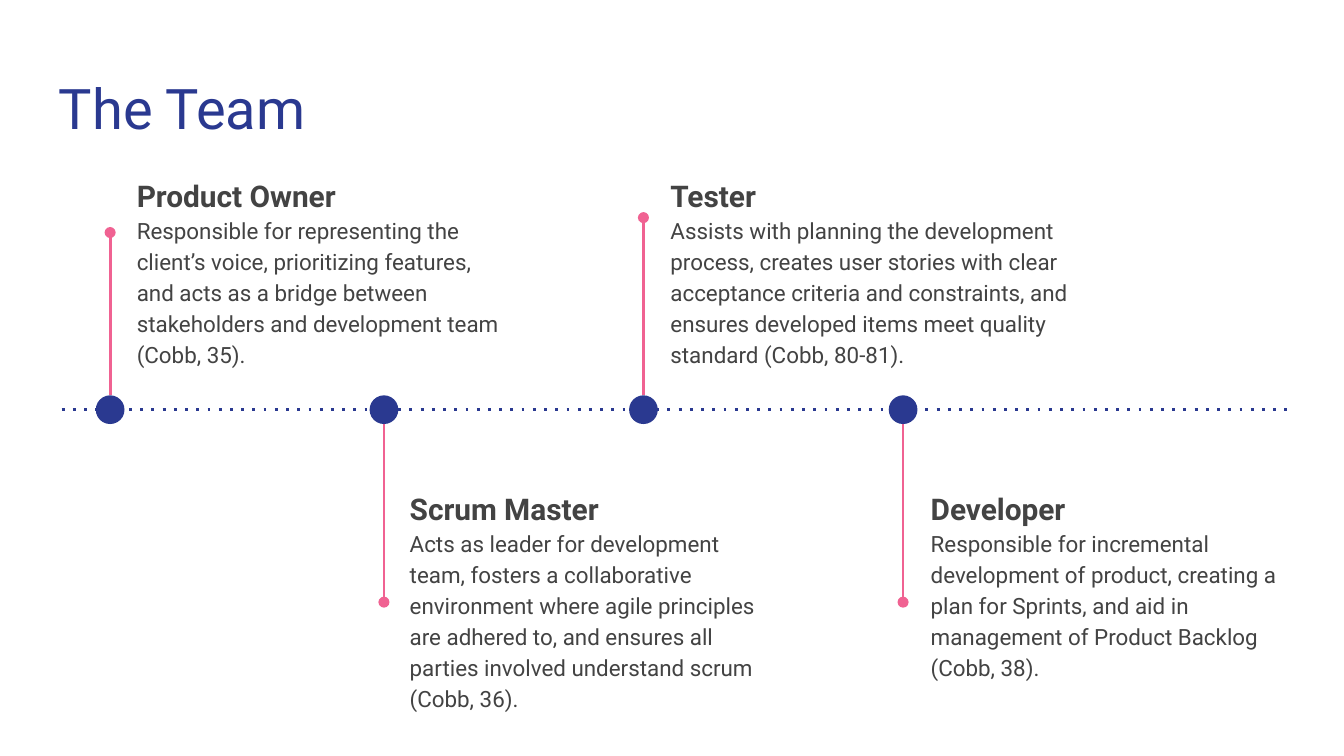
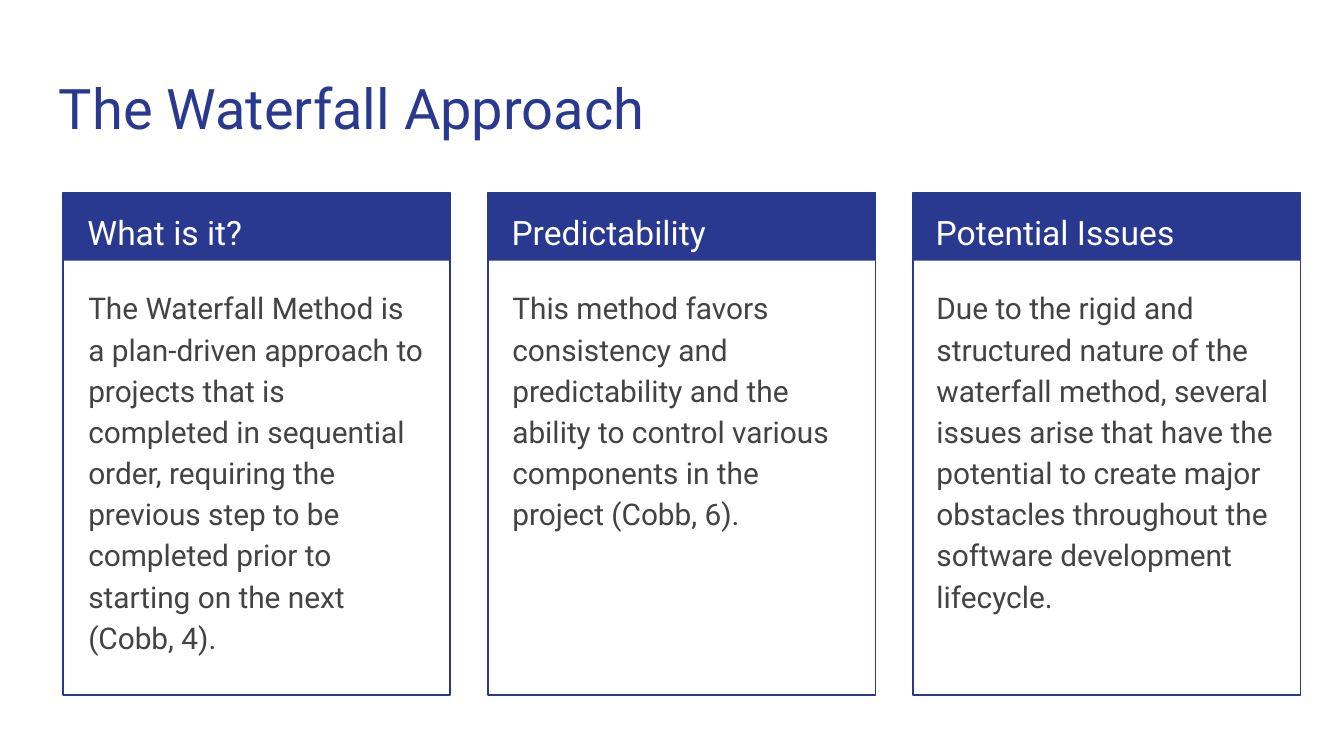
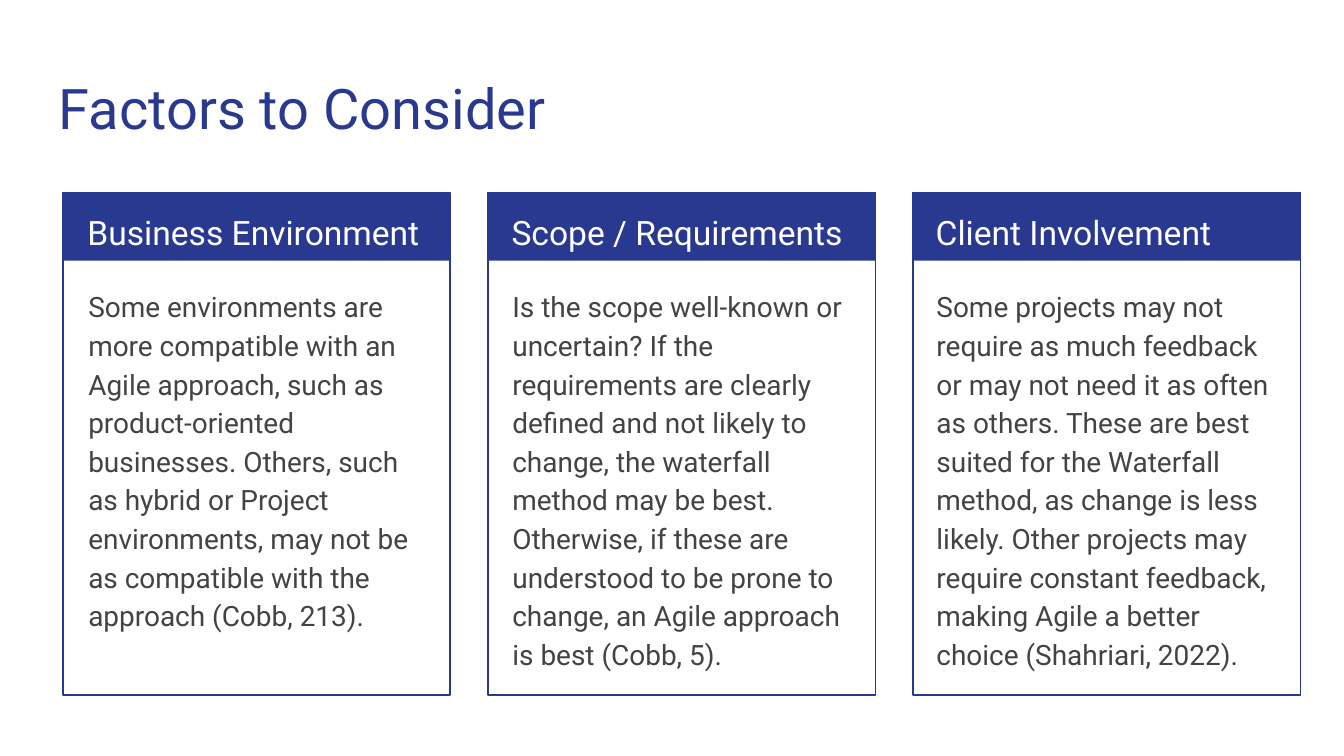
from lxml import etree
from pptx import Presentation
from pptx.dml.color import RGBColor
from pptx.enum.shapes import MSO_CONNECTOR, MSO_SHAPE
from pptx.enum.text import MSO_ANCHOR
from pptx.oxml.ns import qn
from pptx.util import Pt

NAVY = RGBColor(0x2A, 0x39, 0x90)
PINK = RGBColor(0xF0, 0x62, 0x92)
GRAY = RGBColor(0x43, 0x43, 0x43)
WHITE = RGBColor(0xFF, 0xFF, 0xFF)
FONT = "Roboto"
OVAL, RECT = MSO_SHAPE.OVAL, MSO_SHAPE.RECTANGLE
STRAIGHT = MSO_CONNECTOR.STRAIGHT
TOP = MSO_ANCHOR.TOP

AXIS = 219.5
DOT = 15.4
ROLE_TOP = {"up": 85, "down": 252.7}

ROLES = [
    dict(name="Product Owner", side="up", x=59, tip=124.6, box=(66.2, 209.5, 111),
         text="Responsible for representing the client’s voice, prioritizing features, and acts as a bridge between stakeholders and development team (Cobb, 35)."),
    dict(name="Scrum Master", side="down", x=205.7, tip=322.6, box=(212.4, 209.5, 127.4),
         text="Acts as leader for development team, fosters a collaborative environment where agile principles are adhered to, and ensures all parties involved understand scrum (Cobb, 36)."),
    dict(name="Tester", side="up", x=344.7, tip=116.6, box=(352.1, 241.9, 117.4),
         text="Assists with planning the development process, creates user stories with clear acceptance criteria and constraints, and ensures developed items meet quality standard (Cobb, 80-81)."),
    dict(name="Developer", side="down", x=483.8, tip=322.6, box=(491.5, 209.5, 76.3),
         text="Responsible for incremental development of product, creating a plan for Sprints, and aid in management of Product Backlog (Cobb, 38)."),
]

DECKS = [
    ("The Waterfall Approach", 16, [
        ("What is it?", "The Waterfall Method is a plan-driven approach to projects that is completed in sequential order, requiring the previous step to be completed prior to starting on the next (Cobb, 4)."),
        ("Predictability", "This method favors consistency and predictability and the ability to control various components in the project (Cobb, 6)."),
        ("Potential Issues", "Due to the rigid and structured nature of the waterfall method, several issues arise that have the potential to create major obstacles throughout the software development lifecycle."),
    ]),
    ("Factors to Consider", 15, [
        ("Business Environment", "Some environments are more compatible with an Agile approach, such as product-oriented businesses. Others, such as hybrid or Project environments, may not be as compatible with the approach (Cobb, 213)."),
        ("Scope / Requirements", "Is the scope well-known or uncertain? If the requirements are clearly defined and not likely to change, the waterfall method may be best. Otherwise, if these are understood to be prone to change, an Agile approach is best (Cobb, 5)."),
        ("Client Involvement", "Some projects may not require as much feedback or may not need it as often as others. These are best suited for the Waterfall method, as change is less likely. Other projects may require constant feedback, making Agile a better choice (Shahriari, 2022)."),
    ]),
]


def add_text(frame, text, size=16, color=GRAY, bold=False, gap=1.15, after=0, first=True):
    para = frame.paragraphs[0] if first else frame.add_paragraph()
    para.space_after = Pt(after)
    para.line_spacing = gap
    run = para.add_run()
    run.text = text
    font = run.font
    font.name, font.size, font.bold = FONT, Pt(size), bold
    font.color.rgb = color


def add_box(slide, *area):
    frame = slide.shapes.add_textbox(*map(Pt, area)).text_frame
    frame.word_wrap = True
    frame.vertical_anchor = TOP
    frame.margin_left = frame.margin_right = Pt(7.2)
    frame.margin_top = frame.margin_bottom = Pt(7.2)
    return frame


def add_form(shapes, kind, area, fill=None, edge=None):
    form = shapes.add_shape(kind, *map(Pt, area))
    form.shadow.inherit = False
    if fill is None:
        form.fill.background()
    else:
        form.fill.solid()
        form.fill.fore_color.rgb = fill
    if edge is None:
        form.line.fill.background()
    else:
        form.line.color.rgb = edge
        form.line.width = Pt(0.75)


def add_line(shapes, ends, color, tag, **attrs):
    line = shapes.add_connector(STRAIGHT, *map(Pt, ends))
    line.line.color.rgb = color
    line.line.width = Pt(1.5)
    props = line._element.spPr
    etree.SubElement(props.find(qn("a:ln")), qn(tag), **attrs)
    etree.SubElement(props, qn("a:effectLst"))


def add_slide(deck, title):
    slide = deck.slides.add_slide(deck.slide_layouts[6])
    add_text(add_box(slide, 24.5, 32.4, 671, 47.5), title, size=30, color=NAVY, gap=1.0)
    return slide


def add_role(slide, role):
    x, side = role["x"], role["side"]
    group = slide.shapes.add_group_shape().shapes
    start = AXIS + (DOT / 2 if side == "down" else -DOT / 2)
    add_line(group, (x, start, x, role["tip"]), PINK, "a:tailEnd", type="oval")
    add_form(group, OVAL, (x - DOT / 2, AXIS - DOT / 2, DOT, DOT), fill=NAVY)
    left, width, height = role["box"]
    frame = add_box(slide, left, ROLE_TOP[side], width, height)
    add_text(frame, role["name"], bold=True)
    add_text(frame, role["text"], size=12, after=16, first=False)


def add_card(slide, index, head, body, size):
    left = 33.8 + 227.7 * index
    inset = 39.8 + 227.2 * index
    group = slide.shapes.add_group_shape().shapes
    add_form(group, RECT, (left, 103, 207.4, 36.7), fill=NAVY)
    add_form(group, RECT, (left, 103, 207.4, 269.3), edge=NAVY)
    add_text(add_box(slide, inset, 103, 196.6, 36), head, size=18, color=WHITE)
    add_text(add_box(slide, inset + 0.4, 145.4, 195.1, 220.3), body, size=size, after=16)


def main():
    deck = Presentation()
    deck.slide_width, deck.slide_height = Pt(720), Pt(405)
    team = add_slide(deck, "The Team")
    add_line(team.shapes, (33.1, AXIS, 689.8, AXIS), NAVY, "a:prstDash", val="dot")
    for role in ROLES:
        add_role(team, role)
    for title, size, cards in DECKS:
        slide = add_slide(deck, title)
        for index, (head, body) in enumerate(cards):
            add_card(slide, index, head, body, size)
    deck.save("out.pptx")


if __name__ == "__main__":
    main()
